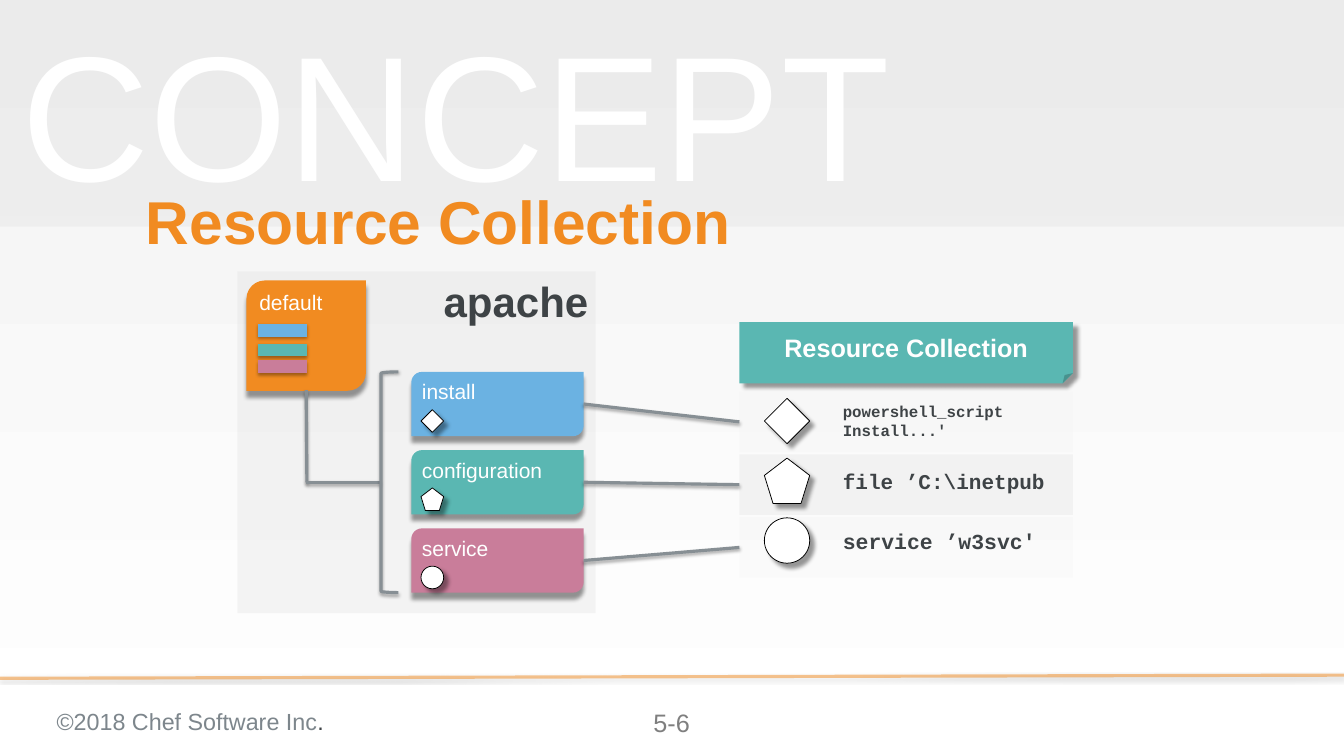
from dataclasses import dataclass
from lxml import etree
from pptx import Presentation
from pptx.dml.color import RGBColor
from pptx.enum import shapes, text
from pptx.oxml.ns import qn
from pptx.util import Pt


@dataclass(frozen=True)
class Theme:
    sans: str = "Arial"
    mono: str = "Courier New"
    orange: str = "F18B21"
    blue: str = "6BB2E2"
    teal: str = "5AB7B2"
    rose: str = "C97D9A"
    dark: str = "3E4346"
    rule: str = "878F94"
    footer: str = "7D868C"
    number: str = "7F7F7F"
    band: str = "D9D9D9"
    light: str = "F2F2F2"
    white: str = "FFFFFF"
    black: str = "000000"
    watermark_size: float = 169.3
    title_size: float = 57.6
    panel_size: float = 40
    heading_size: float = 24
    footer_size: float = 22.2
    label_size: float = 20


SHAPE = shapes.MSO_SHAPE
LEFT, CENTER, RIGHT = text.PP_ALIGN.LEFT, text.PP_ALIGN.CENTER, text.PP_ALIGN.RIGHT
TOP, MIDDLE = text.MSO_ANCHOR.TOP, text.MSO_ANCHOR.MIDDLE
LINE_SHADOW = (35, 3.1, 1.8, 90)
DROP_SHADOW = (40, 4, 6, 90)
CORNER_SHADOW = (40, 4, 6, 45)


class SlideBuilder:
    def __init__(self, prs, theme):
        self.theme = theme
        self.s = prs.slides.add_slide(prs.slide_layouts[5])

    def background(self, start, end):
        fill = self.s.background.fill
        fill.gradient()
        fill.gradient_angle = 270
        for stop, color in zip(fill.gradient_stops, (start, end)):
            stop.color.rgb = RGBColor.from_string(color)

    def opacity(self, sp, percent):
        for clr in sp.element.spPr.iter(qn("a:srgbClr")):
            etree.SubElement(clr, qn("a:alpha"), val=str(percent * 1000))

    def effects(self, sp, shadow):
        effects = etree.SubElement(sp.element.spPr, qn("a:effectLst"))
        if shadow:
            alpha, blur, dist, angle = shadow
            outer = etree.SubElement(
                effects, qn("a:outerShdw"), blurRad=str(int(Pt(blur))),
                dist=str(int(Pt(dist))), dir=str(angle * 60000), rotWithShape="0")
            clr = etree.SubElement(outer, qn("a:srgbClr"), val=self.theme.black)
            etree.SubElement(clr, qn("a:alpha"), val=str(alpha * 1000))

    def add_text(self, sp, runs, size, align=LEFT, anchor=TOP, bold=False,
                 font=None, inset=(7.2, 7.2)):
        tf = sp.text_frame
        tf.word_wrap = True
        tf.auto_size = text.MSO_AUTO_SIZE.NONE
        tf.vertical_anchor = anchor
        tf.margin_left = tf.margin_right = Pt(inset[0])
        tf.margin_top = tf.margin_bottom = Pt(inset[1])
        p = tf.paragraphs[0]
        p.alignment = align
        for words, color in runs:
            r = p.add_run()
            r.text = words
            r.font.name = font or self.theme.sans
            r.font.size = Pt(size)
            r.font.bold = bold
            r.font.color.rgb = RGBColor.from_string(color)
        return p

    def title(self, words, box):
        sp = self.s.shapes.title
        self.s.shapes.element.append(sp.element)
        sp.left, sp.top, sp.width, sp.height = map(Pt, box)
        p = self.add_text(sp, [(words, self.theme.orange)], self.theme.title_size,
                          anchor=MIDDLE, bold=True)
        p.line_spacing = 0.9

    def label(self, runs, box, size, **style):
        sp = self.s.shapes.add_textbox(*map(Pt, box))
        self.add_text(sp, runs, size, **style)

    def shape(self, kind, box, fill=None, line=None, width=0.75, alpha=None, shadow=None):
        sp = self.s.shapes.add_shape(kind, *map(Pt, box))
        if fill:
            sp.fill.solid()
            sp.fill.fore_color.rgb = RGBColor.from_string(fill)
        else:
            sp.fill.background()
        if line:
            sp.line.color.rgb = RGBColor.from_string(line)
            sp.line.width = Pt(width)
        else:
            sp.line.fill.background()
        if alpha:
            self.opacity(sp, alpha)
        self.effects(sp, shadow)
        return sp

    def card(self, kind, box, fill, words, size, color, shadow=None, alpha=None, **style):
        sp = self.shape(kind, box, fill, alpha=alpha, shadow=shadow)
        self.add_text(sp, [(words, color)], size, inset=(7.2, 3.6), **style)

    def icon(self, kind, left, top, size):
        self.shape(kind, (left, top, size, size), self.theme.white,
                   self.theme.black, shadow=CORNER_SHADOW)

    def line(self, start, end, color, width=3, alpha=None, target=None):
        sp = self.s.shapes.add_connector(
            shapes.MSO_CONNECTOR.STRAIGHT, *map(Pt, start + end))
        if target is not None:
            sp.end_connect(target, 1)
        sp.line.color.rgb = RGBColor.from_string(color)
        sp.line.width = Pt(width)
        if alpha:
            self.opacity(sp, alpha)
        self.effects(sp, LINE_SHADOW)


def main():
    prs = Presentation()
    prs.slide_width, prs.slide_height = Pt(1280), Pt(720)
    t = Theme()
    b = SlideBuilder(prs, t)

    b.background(t.light, t.white)
    b.line((1280, 643), (0, 646), t.orange, alpha=50)
    b.label([("©2018 Chef Software Inc", t.footer), (".", t.dark)],
            (46.8, 666, 425, 37.4), t.footer_size)
    b.label([("5-6", t.number)], (583.2, 666, 113, 41), t.heading_size, align=CENTER)
    b.shape(SHAPE.RECTANGLE, (0, 0, 1280, 216), t.band, alpha=25)
    b.label([("CONCEPT", t.white)], (10.8, 11.5, 910, 187), t.watermark_size,
            anchor=MIDDLE, inset=(9.4, 9.4))
    b.title("Resource Collection", (131.8, 180.7, 970, 67))

    icons = (SHAPE.DIAMOND, SHAPE.REGULAR_PENTAGON, SHAPE.OVAL)
    resources = (("powershell_script Install...'", 15, 25),
                 ("file ’C:\\inetpub", 20, None),
                 ("service ’w3svc'", 20.4, 25))
    row_left, row_width = 704.2, 317.5
    rows = []
    for i, (icon, (words, size, alpha)) in enumerate(zip(icons, resources)):
        rows.append(b.shape(SHAPE.RECTANGLE, (row_left, 373 + i * 59.8, row_width, 57.6),
                            t.light, alpha=alpha))
        top = 379.4 + i * 56.9
        b.icon(icon, 728, top, 43.2)
        b.label([(words, t.dark)], (795.6, top, 217, 43.2), size,
                anchor=MIDDLE, bold=True, font=t.mono)
    b.card(SHAPE.FOLDED_CORNER, (row_left, 306.7, row_width, 58.3), t.teal,
           "Resource Collection", t.heading_size, t.white, CORNER_SHADOW,
           align=CENTER, anchor=MIDDLE, bold=True)

    b.card(SHAPE.RECTANGLE, (226, 258.5, 341.3, 325.4), t.band, "apache",
           t.panel_size, t.dark, alpha=25, align=RIGHT, bold=True)
    b.card(SHAPE.ROUND_2_DIAG_RECTANGLE, (234.7, 267.1, 113.8, 105.1), t.orange,
           "default", t.label_size, t.white, DROP_SHADOW)

    card_left, card_top, card_width, card_height, pitch = 391.7, 354.2, 164.2, 61.2, 74.5
    recipes = (("install", t.blue, 314.6),
               ("configuration", t.teal, 333.4),
               ("service", t.rose, 349.2))
    for i, (icon, row, (words, color, bar_y)) in enumerate(zip(icons, rows, recipes)):
        top = card_top + i * pitch
        middle = top + card_height / 2
        b.card(SHAPE.ROUND_2_DIAG_RECTANGLE, (card_left, top, card_width, card_height),
               color, words, t.label_size, t.white, DROP_SHADOW)
        b.icon(icon, 401, top + 36, 21.6)
        b.line((246.2, bar_y), (292.3, bar_y), color, 12)
        b.line((card_left + card_width, middle), (row_left, middle), t.rule, target=row)

    b.line((291.6, 371.5), (292.3, 459.4), t.rule)
    b.line((291.6, 459.4), (362.9, 459.4), t.rule)
    b.shape(SHAPE.LEFT_BRACKET, (362.9, card_top, 16.6, 2 * pitch + card_height),
            line=t.rule, width=3, shadow=LINE_SHADOW)

    prs.save("out.pptx")


if __name__ == "__main__":
    main()
